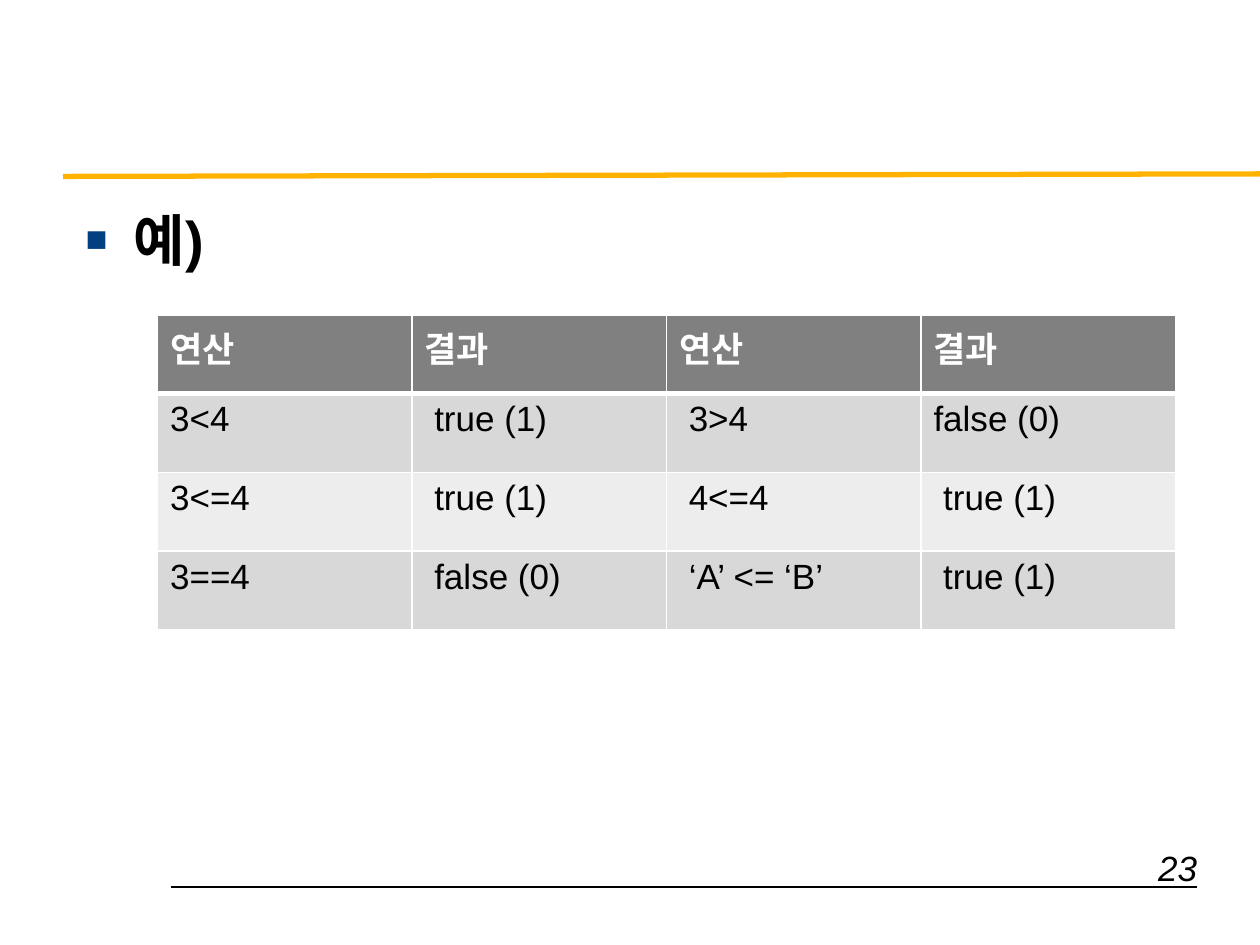
import pptx
import pptx.dml.color
import pptx.enum.shapes
import pptx.enum.text
import pptx.oxml
import pptx.oxml.ns
import pptx.util
from pptx.util import Inches

ROWS = [
    ["연산", "결과", "연산", "결과"],
    ["3<4", " true (1)", " 3>4", "false (0)"],
    ["3<=4", " true (1)", " 4<=4", " true (1)"],
    ["3==4", " false (0)", " ‘A’ <= ‘B’", " true (1)"],
]


def rgb(value):
    """Return the colour for a hex string."""
    return pptx.dml.color.RGBColor.from_string(value)


def add_xml(parent, xml):
    """Append a DrawingML fragment to an element."""
    ns = pptx.oxml.ns.nsdecls("a")
    parent.append(pptx.oxml.parse_xml(xml.replace("NS", ns, 1)))


def format_run(p, size, color="000000", bold=False, italic=False):
    """Format the only run of a paragraph."""
    font = p.runs[0].font
    font.name = "Arial"
    font.size = pptx.util.Pt(size)
    font.bold = bold
    font.italic = italic
    font.color.rgb = rgb(color)


def add_rule(s, x1, y1, x2, y2, color, width):
    """Draw a straight rule without a shadow."""
    line = s.shapes.add_connector(
        pptx.enum.shapes.MSO_CONNECTOR.STRAIGHT,
        Inches(x1), Inches(y1), Inches(x2), Inches(y2))
    line.line.color.rgb = rgb(color)
    line.line.width = pptx.util.Pt(width)
    add_xml(line._element.spPr, "<a:effectLst NS/>")


def fill_body(sp, text):
    """Place the body placeholder and write its bulleted line."""
    sp.left, sp.top = Inches(0.58), Inches(1.58)
    sp.width, sp.height = Inches(9.12), Inches(4.54)
    sp.text_frame.text = text
    p = sp.text_frame.paragraphs[0]
    p.space_before = pptx.util.Pt(0)
    format_run(p, 32, bold=True)
    pPr = p._p.get_or_add_pPr()
    pPr.set("marL", str(Inches(0.38)))
    pPr.set("indent", str(Inches(-0.38)))
    add_xml(pPr, '<a:buClr NS><a:srgbClr val="004080"/></a:buClr>')
    add_xml(pPr, '<a:buSzPct NS val="65000"/>')
    add_xml(pPr, '<a:buFont NS typeface="Arial"/>')
    add_xml(pPr, '<a:buChar NS char="■"/>')


def add_page_number(s, text):
    """Write the page number at the lower right."""
    sp = s.shapes.add_textbox(Inches(7.42), Inches(6.67), Inches(2.18), Inches(0.38))
    tf = sp.text_frame
    tf.word_wrap = True
    tf.text = text
    p = tf.paragraphs[0]
    p.alignment = pptx.enum.text.PP_ALIGN.RIGHT
    format_run(p, 20, italic=True)


def format_cell(cell, row, last_row):
    """Style a cell according to its row."""
    header = row == 0
    widths = {"L": 1, "R": 1, "T": 3 if row == 1 else 1, "B": 3 if header else 1}
    tcPr = cell._tc.get_or_add_tcPr()
    for side, width in widths.items():
        if (side, row) in (("T", 0), ("B", last_row)):
            width = 1
        add_xml(tcPr, f'<a:ln{side} NS w="{pptx.util.Pt(width)}"><a:solidFill>'
                      f'<a:srgbClr val="FFFFFF"/></a:solidFill></a:ln{side}>')
    cell.fill.solid()
    cell.fill.fore_color.rgb = rgb("808080" if header else ("EDEDED", "D8D8D8")[row % 2])
    format_run(cell.text_frame.paragraphs[0], 20,
               "FFFFFF" if header else "000000", bold=header)


def add_results_table(s, rows):
    """Add the table of operations and their results."""
    table = s.shapes.add_table(
        len(rows), len(rows[0]),
        Inches(1.25), Inches(2.5), Inches(8.08), Inches(2.5)).table
    for i, values in enumerate(rows):
        for j, value in enumerate(values):
            cell = table.cell(i, j)
            cell.text_frame.text = value
            format_cell(cell, i, len(rows) - 1)


def main():
    """Build the slide and save it."""
    prs = pptx.Presentation()
    prs.slide_width, prs.slide_height = Inches(10), Inches(7.5)
    s = prs.slides.add_slide(prs.slide_layouts[1])
    title = s.shapes.title._element
    title.getparent().remove(title)
    add_rule(s, 1.36, 7.04, 9.5, 7.04, "000000", 0.75)
    add_rule(s, 0.5, 1.4, 10, 1.38, "FFB300", 3)
    fill_body(s.placeholders[1], "예)")
    add_page_number(s, " 23")
    add_results_table(s, ROWS)
    prs.save("out.pptx")


if __name__ == "__main__":
    main()
